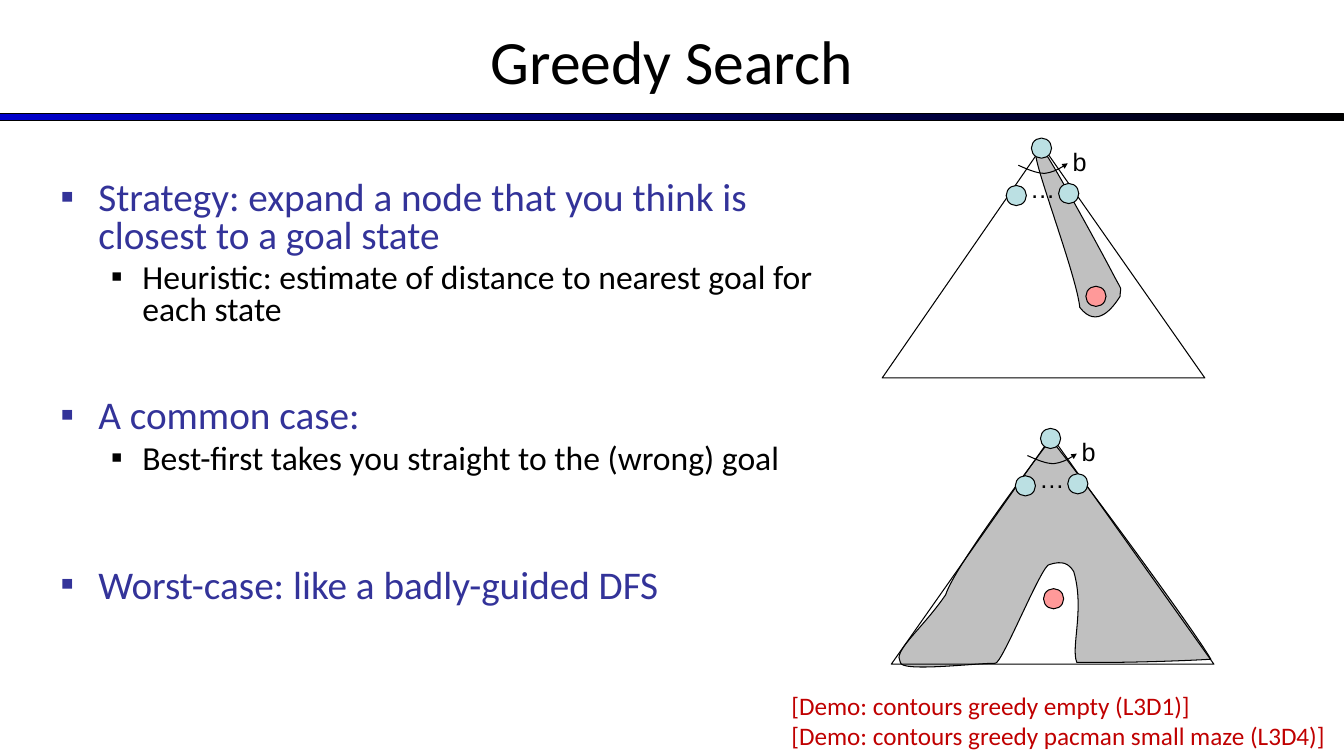
from lxml import etree
from pptx import Presentation
from pptx.dml.color import RGBColor
from pptx.enum.shapes import MSO_SHAPE as Shape
from pptx.enum.text import MSO_ANCHOR as Anchor, MSO_AUTO_SIZE as AutoSize, PP_ALIGN as Align
from pptx.oxml.ns import qn
from pptx.util import Pt

PX = 9144  # EMU per px, 100 px to the inch
SLIDE_W, SLIDE_H = 1333, 750
NODE = 20  # diameter of a tree node

BLACK = RGBColor(0x00, 0x00, 0x00)
BAR_BLUE = RGBColor(0x00, 0x00, 0xCC)
HEADING_BLUE = RGBColor(0x33, 0x33, 0x99)
REACH_GREY = RGBColor(0xC0, 0xC0, 0xC0)
NODE_BLUE = RGBColor(0xBB, 0xE0, 0xE3)
GOAL_PINK = RGBColor(0xFF, 0x99, 0x99)
DEMO_RED = RGBColor(0xC0, 0x00, 0x00)

# Outlines: a start point, then cubic curves of two control points and an end
NARROW_REACH = [(165, 20), (177, 39), (216, 110), (228, 133),
                (240, 156), (236, 145), (236, 157),
                (229, 168), (213, 190), (196, 168),
                (193, 139), (158, 46), (153, 21),
                (147, -4), (153, 1), (165, 20)]
WIDE_REACH = [(164, 18), (192, 53), (299, 198), (317, 229),
              (303, 230), (232, 233), (184, 232),
              (178, 217), (192, 179), (181, 142),
              (176, 134), (170, 131), (157, 135),
              (150, 133), (109, 236), (103, 233),
              (82, 233), (9, 242), (9, 232),
              (1, 221), (30, 200), (54, 165),
              (62, 139), (134, 43), (152, 19),
              (170, -6), (162, 18), (164, 18)]
BRANCH_ARC = [(135, 27), (144, 31), (153, 35), (161, 35),
              (169, 34), (177, 30), (184, 25)]

# Level, text, space before in points
POINTS = [
    (0, "Strategy: expand a node that you think is closest to a goal state", 0),
    (1, "Heuristic: estimate of distance to nearest goal for each state", 5),
    (0, "A common case:", 51),
    (1, "Best-first takes you straight to the (wrong) goal", 5),
    (0, "Worst-case: like a badly-guided DFS", 66),
]
# Size, colour, left margin and hanging indent in points
LEVELS = [(28, HEADING_BLUE, 27, 27), (24, BLACK, 58.5, 22.5)]


def place(shape, left, top, width, height):
    shape.left, shape.top = left * PX, top * PX
    shape.width, shape.height = width * PX, height * PX


def write(paragraph, text, size=18, font="Calibri", color=BLACK, align=Align.LEFT,
          before=0, spacing=1.0):
    paragraph.alignment = align
    paragraph.space_before = Pt(before)
    paragraph.line_spacing = spacing
    run = paragraph.add_run()
    run.text = text
    run.font.size, run.font.name = Pt(size), font
    run.font.color.rgb = color


def add_bullet(paragraph, color, margin, hanging):
    props = paragraph._p.get_or_add_pPr()
    props.set("marL", str(Pt(margin)))
    props.set("indent", str(-Pt(hanging)))
    tint = etree.SubElement(props, qn("a:buClr"))
    etree.SubElement(tint, qn("a:srgbClr"), val=str(color))
    etree.SubElement(props, qn("a:buFont"), typeface="Arial")
    etree.SubElement(props, qn("a:buChar"), char="▪")


def add_label(slide, box, lines, **style):
    label = slide.shapes.add_textbox(*(v * PX for v in box))
    frame = label.text_frame
    frame.word_wrap = True
    for i, line in enumerate(lines):
        write(frame.add_paragraph() if i else frame.paragraphs[0], line, **style)


def finish(shape, fill=None):
    shape.shadow.inherit = False
    shape.line.color.rgb = BLACK
    shape.line.width = Pt(0.75)
    if fill is None:
        shape.fill.background()
    else:
        shape.fill.solid()
        shape.fill.fore_color.rgb = fill


def add_outline(slide, left, top, points, fill=None, close=True):
    spots = [((left + x) * PX, (top + y) * PX) for x, y in points]
    builder = slide.shapes.build_freeform(*spots[0])
    builder.add_line_segments(spots[1:], close=close)
    outline = builder.convert_to_shape()
    finish(outline, fill)
    return outline


def add_curve(slide, left, top, points, **style):
    """Add an outline whose points are read as cubic curves, three to a curve."""
    curve = add_outline(slide, left, top, points, **style)
    segments = list(curve._element.iter(qn("a:lnTo")))
    for first in range(0, len(points) - 1, 3):
        bezier = etree.Element(qn("a:cubicBezTo"))
        segments[first].addprevious(bezier)
        for segment in segments[first:first + 3]:
            bezier.append(segment[0])
            segment.getparent().remove(segment)
    return curve


def add_node(slide, left, top, fill):
    node = slide.shapes.add_shape(Shape.OVAL, left * PX, top * PX, NODE * PX, NODE * PX)
    finish(node, fill)


def add_header(slide, box):
    title = slide.shapes.title
    place(title, *box)
    title.text_frame.vertical_anchor = Anchor.MIDDLE
    title.text_frame.auto_size = AutoSize.NONE
    write(title.text_frame.paragraphs[0], "Greedy Search", size=44, align=Align.CENTER)

    left, top, width, _ = box
    bar = slide.shapes.add_shape(Shape.RECTANGLE, left * PX, (top + 116) * PX,
                                 width * PX, 7 * PX)
    finish(bar)
    bar.fill.gradient()
    bar.fill.gradient_angle = 0
    for stop, color in zip(bar.fill.gradient_stops, (BAR_BLUE, BLACK)):
        stop.color.rgb = color


def add_points(slide, box):
    body = slide.placeholders[1]
    place(body, *box)
    frame = body.text_frame
    frame.auto_size = AutoSize.NONE
    for i, (level, text, before) in enumerate(POINTS):
        paragraph = frame.add_paragraph() if i else frame.paragraphs[0]
        size, color, margin, hanging = LEVELS[level]
        paragraph.level = level
        write(paragraph, text, size=size, color=color, before=before, spacing=0.8)
        add_bullet(paragraph, color, margin, hanging)


def add_search_tree(slide, box, reach, goal):
    """Draw a search tree, the part of it that is expanded, and its goal."""
    left, top, width, height = box
    add_curve(slide, left, top, reach, fill=REACH_GREY)
    add_outline(slide, left, top, [(0, height), (width, height), (159, 8)])
    for x, y in ((123, 47), (175, 45)):
        add_node(slide, left + x, top + y, NODE_BLUE)
    add_label(slide, (left + 137, top + 30, 30, 40), ["…"], font="Arial")
    arc = add_curve(slide, left, top, BRANCH_ARC, close=False)
    etree.SubElement(arc.line._get_or_add_ln(), qn("a:tailEnd"),
                     type="triangle", w="sm", len="sm")
    add_label(slide, (left + 179, top + 3, 33, 40), ["b"], font="Arial")
    add_node(slide, left + goal[0], top + goal[1], GOAL_PINK)
    add_node(slide, left + 148, top, NODE_BLUE)


def main():
    deck = Presentation()
    deck.slide_width, deck.slide_height = SLIDE_W * PX, SLIDE_H * PX
    slide = deck.slides.add_slide(deck.slide_layouts[1])
    add_header(slide, (0, -3, SLIDE_W, 125))
    add_points(slide, (50, 175, 775, 533))
    add_search_tree(slide, (875, 137, 320, 238), NARROW_REACH, goal=(202, 147))
    add_search_tree(slide, (884, 425, 320, 234), WIDE_REACH, goal=(151, 159))
    add_label(slide, (775, 680, 558, 71),
              ["[Demo: contours greedy empty (L3D1)]",
               "[Demo: contours greedy pacman small maze (L3D4)]"], color=DEMO_RED)
    deck.save("out.pptx")


if __name__ == "__main__":
    main()
